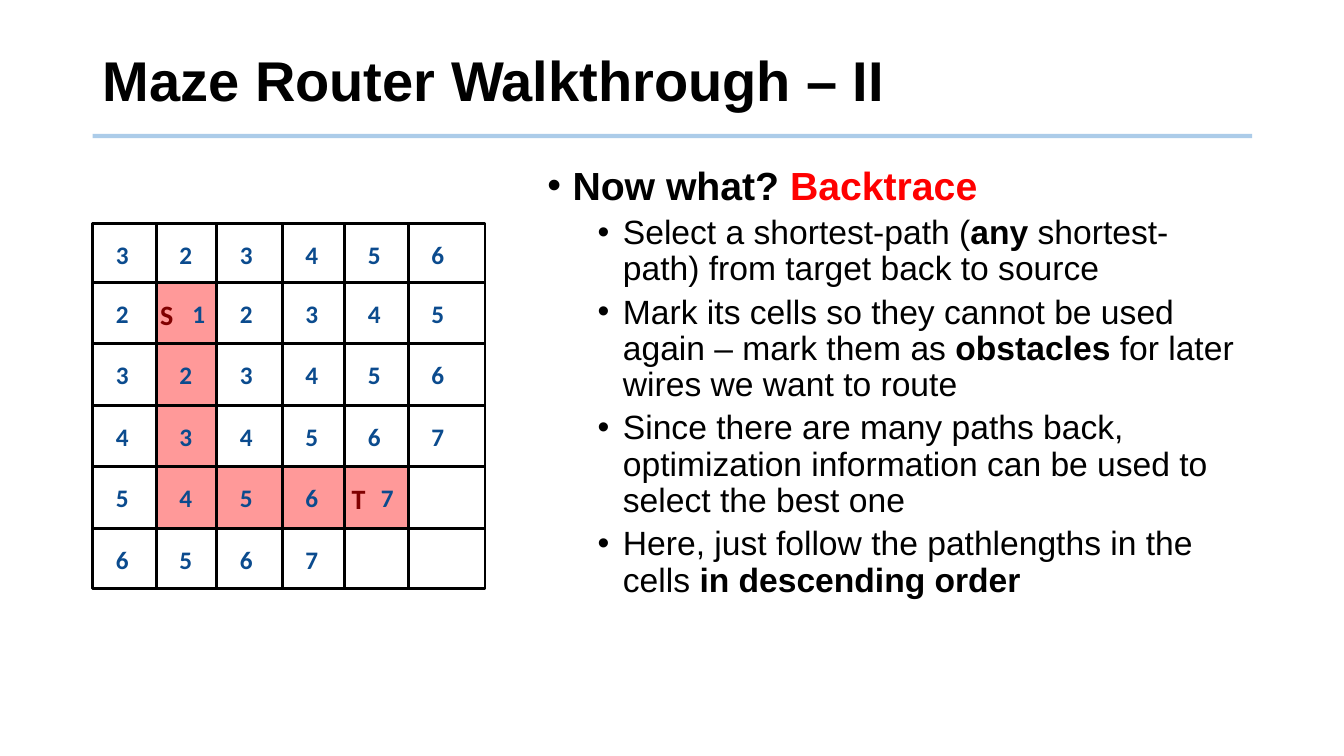
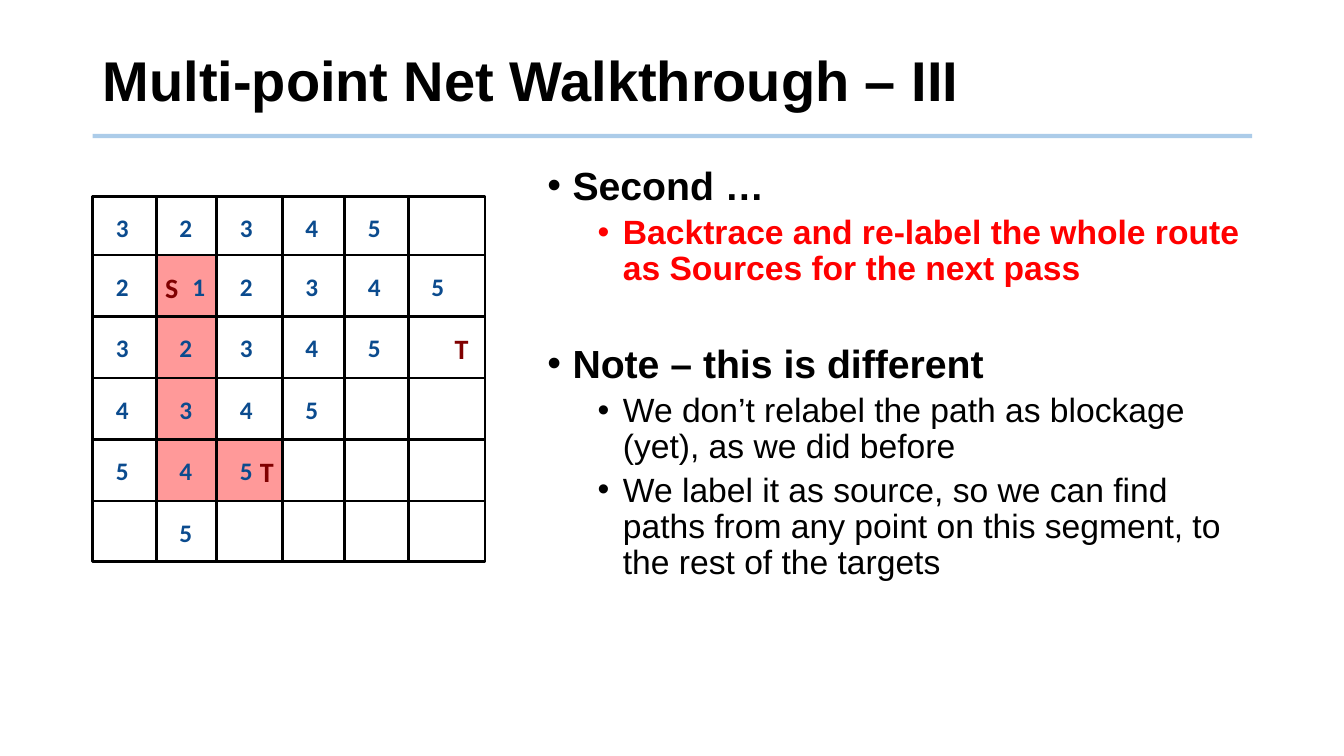
from pptx import Presentation
from pptx import util as u
from pptx.dml.color import RGBColor
from pptx.enum import shapes, text
from pptx.oxml import parse_xml
from pptx.oxml.ns import nsdecls, qn

Inches, Pt = u.Inches, u.Pt

COLORS = {
    "ink": "000000",
    "rule": "5B9BD5",
    "path": "FF9999",
    "label": "0B4B8E",
    "terminal": "800000",
    "accent": "FF0000",
}
HEAD_FONT, CELL_FONT = "Arial", "Calibri"

# Maze geometry, relative to the top left corner of the frame
COLUMN_EDGES = [0, 0.63, 1.23, 1.88, 2.5, 3.13, 3.89]
ROW_EDGES = [0] + [0.58 + 0.61 * row for row in range(5)] + [3.62]

# Bullet levels: size, bold, left margin and space before
LEVELS = [
    {"size": 28, "bold": True, "margin": 0.25, "before": 10},
    {"size": 24, "bold": False, "margin": 0.75, "before": 5},
]


def rgb(name):
    return RGBColor.from_string(COLORS[name])


def add_span(para, words, size, color="ink", bold=False, font=HEAD_FONT):
    span = para.add_run()
    span.text = words
    span.font.size, span.font.bold, span.font.name = Pt(size), bold, font
    span.font.color.rgb = rgb(color)
    return span


def add_line(page, start, end, color="ink", width=2, alpha=None):
    line = page.shapes.add_connector(
        shapes.MSO_CONNECTOR.STRAIGHT, *map(Inches, start + end))
    line.line.color.rgb = rgb(color)
    line.line.width = Pt(width)
    properties = line._element.spPr
    if alpha is not None:
        fill_color = properties.find(".//" + qn("a:srgbClr"))
        fill_color.append(parse_xml(
            f'<a:alpha {nsdecls("a")} val="{alpha * 1000}"/>'))
    properties.append(parse_xml(f'<a:effectLst {nsdecls("a")}/>'))


def add_box(page, left, top, width, height, fill=None, line=None):
    box = page.shapes.add_shape(
        shapes.MSO_SHAPE.RECTANGLE, *map(Inches, (left, top, width, height)))
    box.shadow.inherit = False
    if fill:
        box.fill.solid()
        box.fill.fore_color.rgb = rgb(fill)
    else:
        box.fill.background()
    if line:
        box.line.color.rgb = rgb(line)
        box.line.width = Pt(2)
    else:
        box.line.fill.background()


def add_label(page, left, top, words, width, height, **style):
    box = page.shapes.add_textbox(*map(Inches, (left, top, width, height)))
    box.text_frame.word_wrap = False
    add_span(box.text_frame.paragraphs[0], words, bold=True, font=CELL_FONT, **style)


def add_header(page, title, left=0.92, top=0.28, width=11.5, height=1.1):
    holder = page.shapes.title
    holder.left, holder.top = Inches(left), Inches(top)
    holder.width, holder.height = Inches(width), Inches(height)
    frame = holder.text_frame
    frame.auto_size = text.MSO_AUTO_SIZE.NONE
    frame.vertical_anchor = text.MSO_ANCHOR.MIDDLE
    para = frame.paragraphs[0]
    para.alignment = text.PP_ALIGN.LEFT
    para.line_spacing = 0.9
    add_span(para, title, 40, bold=True)
    rule_y = top + 1.07
    add_line(page, (left, rule_y), (left + width, rule_y), "rule", 3, alpha=50)


def add_maze(page, left, top, rows, path, terminals):
    """Each path leg is (first row, first column, last row, last column)."""
    xs = [left + edge for edge in COLUMN_EDGES]
    ys = [top + edge for edge in ROW_EDGES]

    # Highlighted route
    for row, column, last_row, last_column in path:
        x, y = xs[column], ys[row]
        add_box(page, x, y, xs[last_column + 1] - x, ys[last_row + 1] - y, fill="path")

    # Frame and grid lines
    add_box(page, left, top, xs[-1] - left, ys[-1] - top, line="ink")
    for y in ys[1:-1]:
        add_line(page, (xs[0], y), (xs[-1], y))
    for x in xs[1:-1]:
        add_line(page, (x, ys[0]), (x, ys[-1]))

    # Source and targets; a letter on the left pushes its number aside
    crowded = set()
    for letter, row, column, shift in terminals:
        add_label(page, xs[column] + shift, ys[row] + 0.1, letter, 0.38, 0.43,
                  size=20, color="terminal")
        if shift < 0.1:
            crowded.add((row, column))

    # Path lengths
    for row, numbers in enumerate(rows):
        for column, number in enumerate(numbers):
            if number != " ":
                inset = 0.26 if (row, column) in crowded else 0.13
                add_label(page, xs[column] + inset, ys[row] + 0.11, number, 0.34, 0.4,
                          size=18, color="label")


def add_bullets(page, items, left=5.33, top=1.6, width=7.09, height=5.15):
    """Each item is (level, spans, extra space before)."""
    box = page.shapes.add_textbox(*map(Inches, (left, top, width, height)))
    frame = box.text_frame
    frame.word_wrap = True
    for index, (level, spans, gap) in enumerate(items):
        style = LEVELS[level]
        para = frame.add_paragraph() if index else frame.paragraphs[0]
        para.level = level
        properties = para._p.get_or_add_pPr()
        properties.set("marL", str(Inches(style["margin"])))
        properties.set("indent", str(Inches(-0.25)))
        properties.append(parse_xml(f'<a:buFont {nsdecls("a")} typeface="Arial"/>'))
        properties.append(parse_xml(f'<a:buChar {nsdecls("a")} char="•"/>'))
        para.line_spacing = 0.9
        para.space_before = Pt(style["before"] + gap if index else 0)
        for words, changes in spans:
            add_span(para, words, **{"size": style["size"], "bold": style["bold"], **changes})


def add_walkthrough(deck, title, maze, items):
    page = deck.slides.add_slide(deck.slide_layouts[5])
    add_header(page, title)
    add_maze(page, left=0.92, **maze)
    add_bullets(page, items)


STRONG = {"bold": True}
RED = {"bold": True, "color": "accent"}

BACKTRACE = {
    "title": "Maze Router Walkthrough – II",
    "maze": {
        "top": 2.22,
        "rows": ["323456", "212345", "323456", "434567", "54567 ", "6567  "],
        "path": [(1, 1, 4, 1), (4, 1, 4, 4)],
        "terminals": [("S", 1, 1, -0.06), ("T", 4, 4, -0.03)],
    },
    "items": [
        (0, [("Now what? ", {}), ("Backtrace", RED)], 0),
        (1, [("Select a shortest-path (", {}), ("any", STRONG),
             (" shortest-path) from target back to source", {})], 0),
        (1, [("Mark its cells so they cannot be used again – mark them as ", {}),
             ("obstacles", STRONG), (" for later wires we want to route", {})], 0),
        (1, [("Since there are many paths back, optimization information "
              "can be used to select the best one", {})], 0),
        (1, [("Here, just follow the pathlengths in the cells ", {}),
             ("in descending order", STRONG)], 0),
    ],
}

RELABEL = {
    "title": "Multi-point Net Walkthrough – III",
    "maze": {
        "top": 1.95,
        "rows": ["32345 ", "212345", "32345 ", "4345  ", "545   ", " 5    "],
        "path": [(1, 1, 4, 1), (4, 1, 4, 2)],
        "terminals": [("S", 1, 1, -0.01), ("T", 4, 2, 0.33), ("T", 2, 5, 0.36)],
    },
    "items": [
        (0, [("Second …", {})], 0),
        (1, [("Backtrace and re-label the whole route as Sources for the next pass", RED)], 0),
        (0, [("Note – this is different", {})], 30),
        (1, [("We don’t relabel the path as blockage (yet), as we did before", {})], 0),
        (1, [("We label it as source, so we can find paths from any point on "
              "this segment, to the rest of the targets", {})], 0),
    ],
}


def main():
    deck = Presentation()
    deck.slide_width, deck.slide_height = Inches(13.33), Inches(7.5)
    for content in (BACKTRACE, RELABEL):
        add_walkthrough(deck, **content)
    deck.save("out.pptx")


if __name__ == "__main__":
    main()
